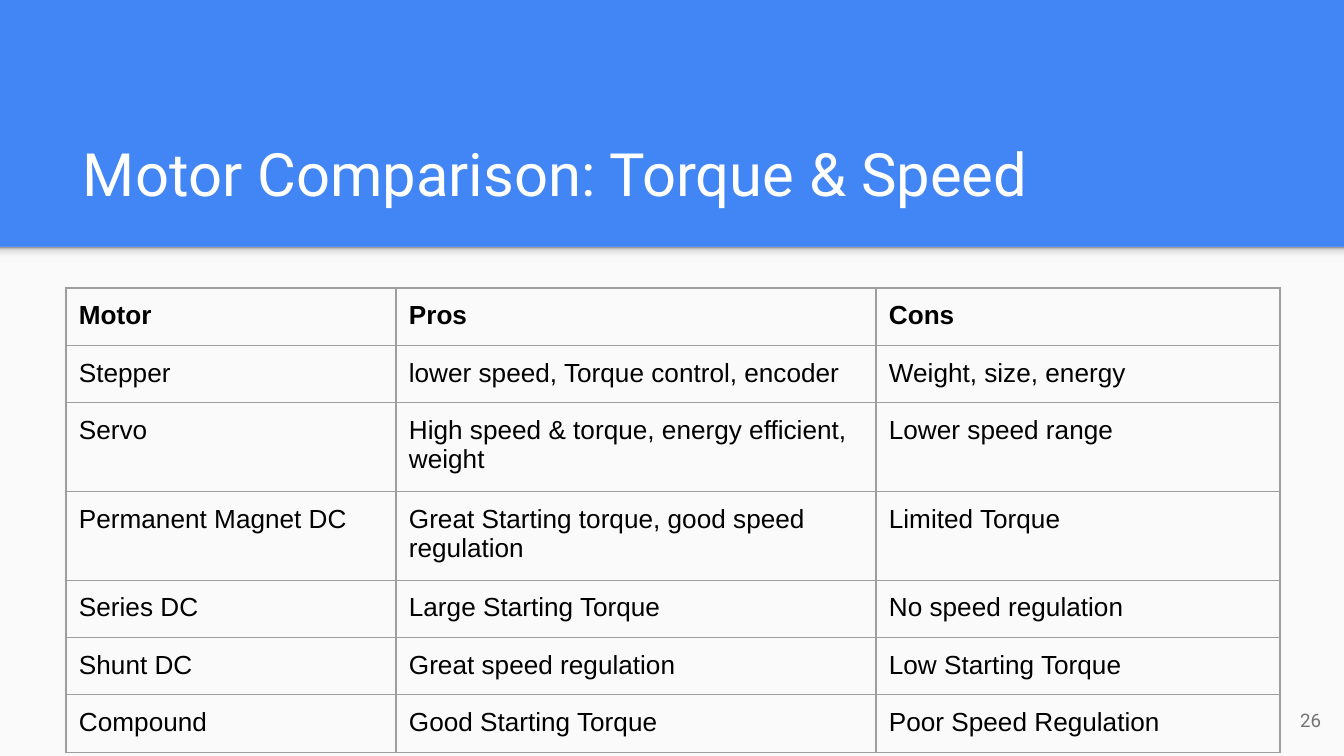
from dataclasses import dataclass
from typing import NamedTuple

from lxml.etree import SubElement
from pptx import Presentation
from pptx.dml.color import RGBColor
from pptx.enum.text import MSO_ANCHOR as Anchor, PP_ALIGN as Align
from pptx.oxml.ns import qn
from pptx.util import Pt

EMU_PER_INCH = 914400
PX_PER_INCH = 134.4


def px(length: int) -> int:
    return round(length * EMU_PER_INCH / PX_PER_INCH)


@dataclass(frozen=True)
class Theme:
    banner: str = "4285F4"
    panel: str = "FAFAFA"
    title: str = "FFFFFF"
    body: str = "000000"
    number: str = "737373"
    border: str = "9E9E9E"
    border_pt: float = 0.75
    title_pt: int = 32
    body_pt: int = 14
    number_pt: int = 10
    heading_font: str = "Roboto"
    body_font: str = "Arial"
    # position in percent, colour
    shade: tuple = ((0, "F9F9F9"), (36, "F9F9F9"), (80, "DEDEDE"), (100, "999999"))


class Box(NamedTuple):
    left: int
    top: int
    width: int
    height: int

    def emu(self) -> tuple[int, ...]:
        return tuple(px(side) for side in self)


class Motor(NamedTuple):
    name: str
    pros: str
    cons: str


THEME = Theme()
PAGE = Box(0, 0, 1344, 756)
PANEL = Box(0, 247, 1344, 509)
SHADE = Box(0, 247, 1344, 16)
TITLE = Box(70, 109, 1208, 113)
NUMBER = Box(1253, 691, 81, 58)
TABLE_LEFT, TABLE_TOP = 66, 288
COLUMNS = (330, 480, 404)
ROW_HEIGHT = 56
INSET = 13

MOTORS = (
    Motor("Motor", "Pros", "Cons"),
    Motor("Stepper", "lower speed, Torque control, encoder", "Weight, size, energy"),
    Motor("Servo", "High speed & torque, energy efficient, weight", "Lower speed range"),
    Motor("Permanent Magnet DC", "Great Starting torque, good speed regulation", "Limited Torque"),
    Motor("Series DC", "Large Starting Torque", "No speed regulation"),
    Motor("Shunt DC", "Great speed regulation", "Low Starting Torque"),
    Motor("Compound", "Good Starting Torque", "Poor Speed Regulation"),
)


def write(frame, text: str, *, font: str, size: int, color: str,
          bold: bool = False, align: Align = Align.LEFT) -> None:
    paragraph = frame.paragraphs[0]
    paragraph.alignment = align
    run = paragraph.add_run()
    run.text = text
    run.font.name = font
    run.font.size = Pt(size)
    run.font.bold = bold
    run.font.color.rgb = RGBColor.from_string(color)


def add_text(slide, box: Box, text: str, anchor: Anchor, **text_format) -> None:
    frame = slide.shapes.add_textbox(*box.emu()).text_frame
    frame.word_wrap = True
    frame.vertical_anchor = anchor
    frame.margin_left = frame.margin_right = px(INSET)
    frame.margin_top = frame.margin_bottom = px(INSET)
    write(frame, text, **text_format)


def add_plain_rectangle(slide, box: Box):
    rectangle = slide.shapes.add_shape(1, *box.emu())
    rectangle.shadow.inherit = False
    rectangle.line.fill.background()
    return rectangle


def add_panel(slide) -> None:
    panel = add_plain_rectangle(slide, PANEL)
    panel.fill.solid()
    panel.fill.fore_color.rgb = RGBColor.from_string(THEME.panel)


def add_shade(slide) -> None:
    """Draw the soft edge below the banner, darkest at its top."""
    shade = add_plain_rectangle(slide, SHADE)
    shade.fill.gradient()
    shade.fill.gradient_angle = 90
    stops = shade._element.spPr.find(qn("a:gradFill")).find(qn("a:gsLst"))
    for stop in list(stops):
        stops.remove(stop)
    for percent, color in THEME.shade:
        stop = SubElement(stops, qn("a:gs"), pos=str(percent * 1000))
        SubElement(stop, qn("a:srgbClr"), val=color)


def set_borders(cell) -> None:
    properties = cell._tc.get_or_add_tcPr()
    for side in ("L", "R", "T", "B"):
        line = SubElement(properties, qn(f"a:ln{side}"), w=str(Pt(THEME.border_pt)))
        fill = SubElement(line, qn("a:solidFill"))
        SubElement(fill, qn("a:srgbClr"), val=THEME.border)


def add_motor_table(slide) -> None:
    box = Box(TABLE_LEFT, TABLE_TOP, sum(COLUMNS), ROW_HEIGHT * len(MOTORS))
    table = slide.shapes.add_table(len(MOTORS), len(COLUMNS), *box.emu()).table
    table.first_row = table.horz_banding = False
    for column, width in zip(table.columns, COLUMNS):
        column.width = px(width)
    for index, (row, motor) in enumerate(zip(table.rows, MOTORS)):
        row.height = px(ROW_HEIGHT)
        for cell, text in zip(row.cells, motor):
            cell.margin_left = cell.margin_right = px(INSET)
            cell.margin_top = cell.margin_bottom = px(INSET)
            set_borders(cell)
            cell.fill.background()
            write(cell.text_frame, text, font=THEME.body_font, size=THEME.body_pt,
                  color=THEME.body, bold=index == 0)


def main() -> None:
    deck = Presentation()
    deck.slide_width, deck.slide_height = px(PAGE.width), px(PAGE.height)
    slide = deck.slides.add_slide(deck.slide_layouts[6])
    slide.background.fill.solid()
    slide.background.fill.fore_color.rgb = RGBColor.from_string(THEME.banner)

    add_panel(slide)
    add_shade(slide)
    add_text(slide, TITLE, "Motor Comparison: Torque & Speed", Anchor.BOTTOM,
             font=THEME.heading_font, size=THEME.title_pt, color=THEME.title)
    add_text(slide, NUMBER, "26", Anchor.MIDDLE, font=THEME.heading_font,
             size=THEME.number_pt, color=THEME.number, align=Align.RIGHT)
    add_motor_table(slide)
    deck.save("out.pptx")


if __name__ == "__main__":
    main()
